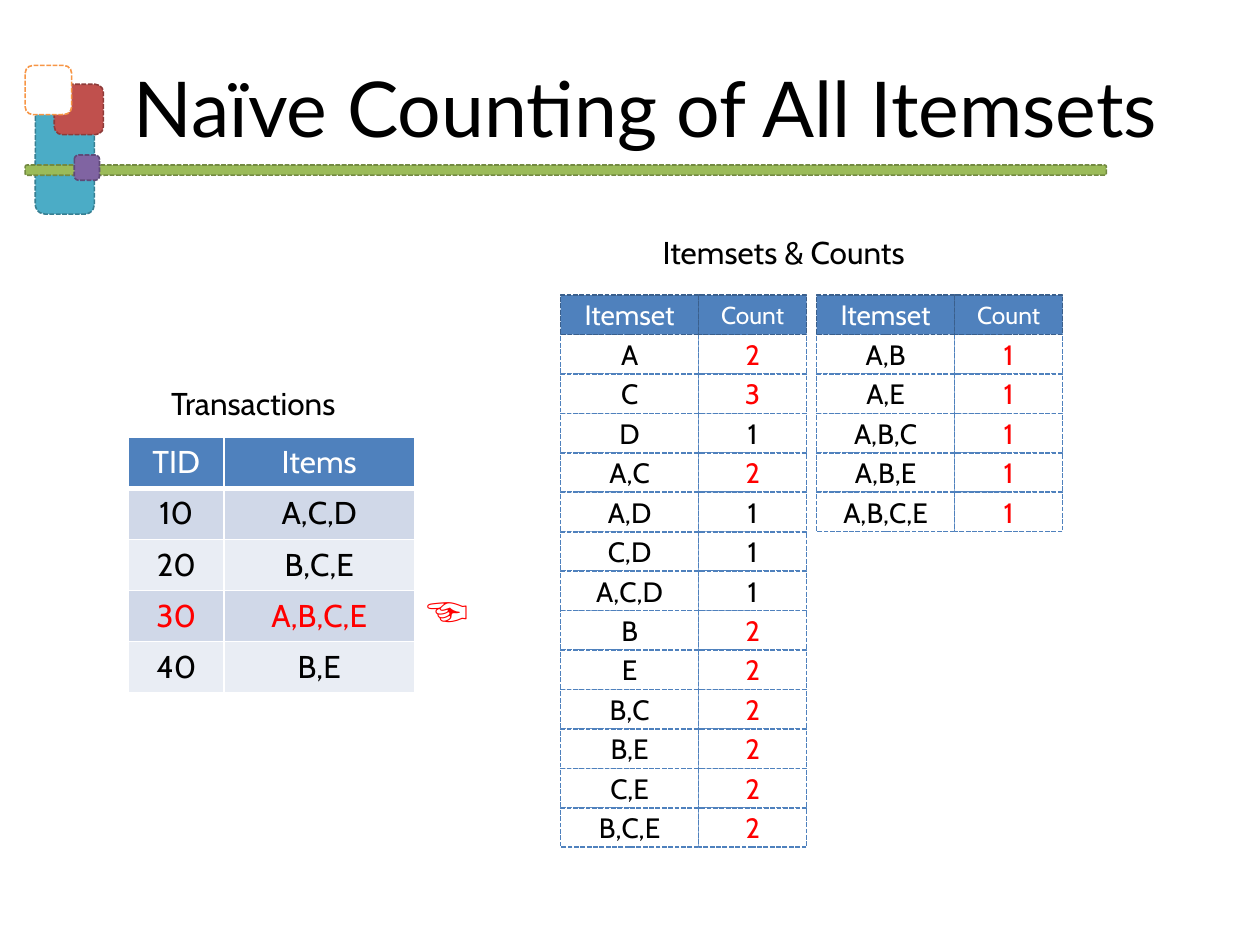
from lxml.etree import SubElement
from pptx import Presentation
from pptx.dml.color import RGBColor
from pptx.enum.dml import MSO_LINE
from pptx.enum.shapes import MSO_SHAPE
from pptx.enum.text import MSO_ANCHOR, PP_ALIGN
from pptx.oxml.ns import qn
from pptx.util import Pt

COLORS = {
    "white": "FFFFFF", "black": "000000", "red": "FF0000",
    "blue": "4F81BD", "blue_edge": "3A5F8C",
    "band_dark": "D0D8E8", "band_light": "E9EDF4",
    "teal": "4BACC6", "teal_edge": "377F92",
    "green": "9BBB59", "green_edge": "738A42",
    "brick": "C0504D", "brick_edge": "8E3B39",
    "orange": "F79646",
    "purple": "8064A2", "purple_edge": "5F4A78",
}
BODY_FONT = "Cabin"
ORNAMENTS = [
    ((20.2, 50.4, 33.8, 72), "teal", "teal_edge"),
    ((14.4, 94.3, 617.8, 5.8), "green", "green_edge"),
    ((31, 48.2, 28.1, 28.8), "brick", "brick_edge"),
    ((14.4, 37.4, 26.6, 28.1), "white", "orange"),
    ((42.5, 88.6, 14.4, 14.4), "purple", "purple_edge"),
]
TRANSACTIONS = [("10", "A,C,D"), ("20", "B,C,E"), ("30", "A,B,C,E"), ("40", "B,E")]
CURRENT_TID, CURRENT_ITEMS = TRANSACTIONS[2]
COUNTS = [
    [("A", 2), ("C", 3), ("D", 1), ("A,C", 2), ("A,D", 1), ("C,D", 1), ("A,C,D", 1),
     ("B", 2), ("E", 2), ("B,C", 2), ("B,E", 2), ("C,E", 2), ("B,C,E", 2)],
    [("A,B", 1), ("A,E", 1), ("A,B,C", 1), ("A,B,E", 1), ("A,B,C,E", 1)],
]
GRID_LEFT, GRID_TOP, GRID_PITCH = 320.4, 168.6, 146.3
ITEMSET_W, COUNT_W, ROW_H = 78.8, 61.8, 22.54


def rgb(name):
    return RGBColor.from_string(COLORS[name])


def add_run(tf, text, size, color, font=BODY_FONT, bold=False, align=PP_ALIGN.CENTER):
    p = tf.paragraphs[0]
    p.alignment = align
    r = p.add_run()
    r.text = text
    r.font.size = Pt(size)
    r.font.bold = bold
    r.font.color.rgb = rgb(color)
    r.font.name = font
    SubElement(r.font._element, qn("a:ea"), typeface=font)


def add_box(s, shape, box, fill, line):
    sp = s.shapes.add_shape(shape, *map(Pt, box))
    sp.shadow.inherit = False
    sp.fill.solid()
    sp.fill.fore_color.rgb = rgb(fill)
    sp.line.color.rgb = rgb(line)
    sp.line.width = Pt(0.9)
    sp.line.dash_style = MSO_LINE.SQUARE_DOT
    sp.line._ln.find(qn("a:prstDash")).set("val", "sysDash")
    return sp


def add_label(s, box, text, size=18, color="black", font=BODY_FONT, bold=False):
    tf = s.shapes.add_textbox(*map(Pt, box)).text_frame
    tf.word_wrap = True
    add_run(tf, text, size, color, font, bold, PP_ALIGN.LEFT)


def set_title(s, text):
    title = s.shapes.title
    title.left, title.top, title.width, title.height = map(Pt, (54, 21.6, 630, 78.5))
    tf = title.text_frame
    tf.vertical_anchor = MSO_ANCHOR.MIDDLE
    add_run(tf, text, 44, "black", "Lato")


def set_borders(cell, bottom):
    tcPr = cell._tc.get_or_add_tcPr()
    for i, (side, width) in enumerate((("L", 1), ("R", 1), ("T", 1), ("B", bottom))):
        ln = SubElement(tcPr, qn(f"a:ln{side}"), w=str(Pt(width)))
        fill = SubElement(ln, qn("a:solidFill"))
        SubElement(fill, qn("a:srgbClr"), val=COLORS["white"])
        tcPr.insert(i, ln)


def add_transactions(s):
    rows = [("TID", "Items")] + TRANSACTIONS
    frame = s.shapes.add_table(len(rows), 2, Pt(73.4), Pt(249.8), Pt(163.4), Pt(144))
    table = frame.table
    for column, width in zip(table.columns, (54.7, 108.7)):
        column.width = Pt(width)
    for i, values in enumerate(rows):
        header = i == 0
        fill = "blue" if header else "band_dark" if i % 2 else "band_light"
        color = "white" if header else "red" if values[0] == CURRENT_TID else "black"
        for j, text in enumerate(values):
            cell = table.cell(i, j)
            cell.fill.solid()
            cell.fill.fore_color.rgb = rgb(fill)
            set_borders(cell, 3 if header else 1)
            add_run(cell.text_frame, text, 18, color)


def add_grid_cell(s, box, text, fill="white", line="blue", color="black", size=16):
    sp = add_box(s, MSO_SHAPE.RECTANGLE, box, fill, line)
    sp.text_frame.vertical_anchor = MSO_ANCHOR.MIDDLE
    add_run(sp.text_frame, text, size, color)


def add_count_grid(s, left, counts):
    def boxes(row):
        top = GRID_TOP + row * ROW_H
        return (left, top, ITEMSET_W, ROW_H), (left + ITEMSET_W, top, COUNT_W, ROW_H)

    for row, (itemset, count) in enumerate(counts, 1):
        counted = set(itemset.split(",")) <= set(CURRENT_ITEMS.split(","))
        itemset_box, count_box = boxes(row)
        add_grid_cell(s, itemset_box, itemset)
        add_grid_cell(s, count_box, str(count), color="red" if counted else "black")
    for box, text, size in zip(boxes(0), ("Itemset", "Count"), (16, 14)):
        add_grid_cell(s, box, text, "blue", "blue_edge", "white", size)


def main():
    prs = Presentation()
    prs.slide_width, prs.slide_height = Pt(720), Pt(540)
    s = prs.slides.add_slide(prs.slide_layouts[5])
    for box, fill, line in ORNAMENTS:
        add_box(s, MSO_SHAPE.ROUNDED_RECTANGLE, box, fill, line)
    set_title(s, "Naïve Counting of All Itemsets")
    add_transactions(s)
    add_label(s, (90.7, 216, 127.4, 28.8), "Transactions")
    add_label(s, (371.5, 129.6, 241.2, 36), "Itemsets & Counts")
    add_label(s, (236.9, 331.2, 38.9, 36), "☜", 24, "red", "Noto Sans CJK KR", True)
    for i, counts in enumerate(COUNTS):
        add_count_grid(s, GRID_LEFT + i * GRID_PITCH, counts)
    prs.save("out.pptx")


if __name__ == "__main__":
    main()
